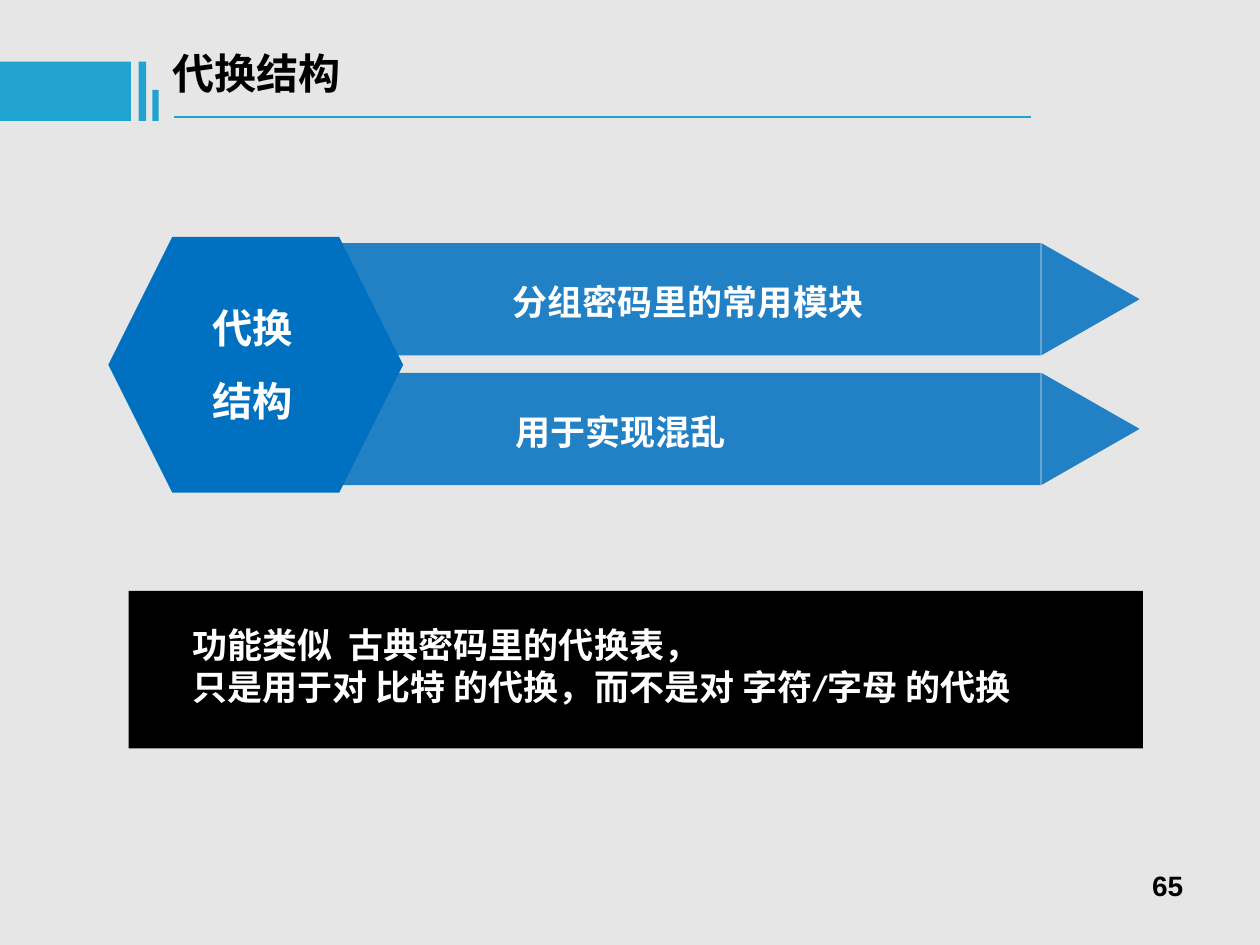
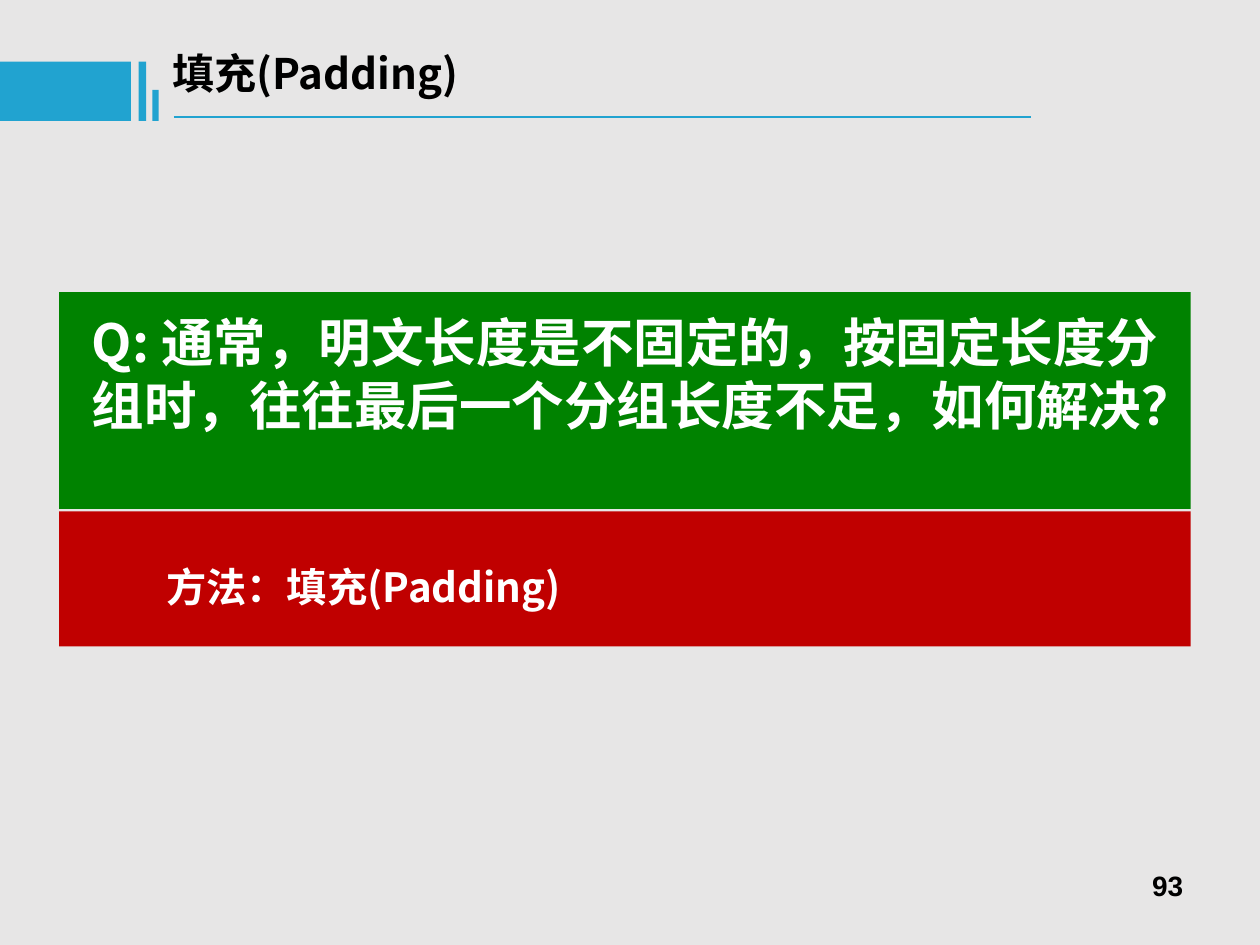
import pptx
import pptx.util
import pptx.dml.color
import pptx.enum.shapes
import pptx.enum.text
import pptx.oxml
import pptx.oxml.ns

MSO = pptx.enum.shapes.MSO_SHAPE
ALIGN = pptx.enum.text.PP_ALIGN
rgb = pptx.dml.color.RGBColor.from_string
NOTO, CYAN, BLUE, WHITE, BLACK = "Noto Sans CJK SC", "21A3D0", "0070C0", "FFFFFF", "000000"

prs = pptx.Presentation()
prs.slide_width = pptx.util.Inches(10)
prs.slide_height = pptx.util.Inches(7.5)
col, row = prs.slide_width / 100, prs.slide_height / 100
bg = prs.slide_master.background.fill
bg.solid()
bg.fore_color.rgb = rgb("E7E6E6")


def block(s, kind, x, y, w, h, color, alpha=100):
    sp = s.shapes.add_shape(kind, int(x * col), int(y * row), int(w * col), int(h * row))
    sp.shadow.inherit = False
    sp.fill.solid()
    sp.fill.fore_color.rgb = rgb(color)
    sp.line.fill.background()
    if alpha < 100:
        clr = sp.fill._xPr.find(".//" + pptx.oxml.ns.qn("a:srgbClr"))
        clr.append(pptx.oxml.parse_xml(
            f'<a:alpha {pptx.oxml.ns.nsdecls("a")} val="{alpha * 1000}"/>'))
    return sp


def write(sp, x, y, w, h, text, size, color=WHITE, font=NOTO, align=ALIGN.LEFT, spacing=1.0):
    sp.left, sp.top, sp.width, sp.height = int(x * col), int(y * row), int(w * col), int(h * row)
    tf = sp.text_frame
    tf.text = text
    tf.word_wrap = True
    tf.auto_size = pptx.enum.text.MSO_AUTO_SIZE.NONE
    tf.vertical_anchor = pptx.enum.text.MSO_ANCHOR.TOP
    for p in tf.paragraphs:
        p.alignment = align
        p.line_spacing = spacing
        for r in p.runs:
            r.font.size = pptx.util.Pt(size)
            r.font.bold = True
            r.font.name = font
            r.font.color.rgb = rgb(color)
            ea = pptx.oxml.parse_xml(
                f'<a:ea {pptx.oxml.ns.nsdecls("a")} typeface="{NOTO}"/>')
            r.font._element.find(pptx.oxml.ns.qn("a:latin")).addnext(ea)
    return tf


slides = []
for title, number in [("代换结构", "65"), ("填充(Padding)", "93")]:
    s = prs.slides.add_slide(prs.slide_layouts[5])
    write(s.shapes.title, 12.7, 4.4, 68.4, 6.67, title, 24, BLACK)
    for x, y, w, h in [(0, 6.53, 10.4, 6.27), (11, 6.53, 0.6, 6.27), (12.1, 9.5, 0.5, 3.3)]:
        block(s, MSO.RECTANGLE, x, y, w, h, CYAN)
    rule = s.shapes.add_connector(
        pptx.enum.shapes.MSO_CONNECTOR.STRAIGHT,
        int(13.8 * col), int(12.4 * row), int(81.8 * col), int(12.4 * row))
    rule.line.color.rgb = rgb(CYAN)
    rule.line.width = pptx.util.Pt(1.5)
    rule._element.spPr.append(pptx.oxml.parse_xml(
        f'<a:effectLst {pptx.oxml.ns.nsdecls("a")}/>'))
    tf = write(s.shapes.add_textbox(0, 0, 0, 0), 71.7, 91.07, 23.3, 6.93,
               number, 16, BLACK, "Arial", ALIGN.RIGHT)
    tf.margin_left = tf.margin_right = pptx.util.Inches(0.11)
    tf.margin_top = tf.margin_bottom = pptx.util.Inches(0.06)
    slides.append(s)

s = slides[0]
hexagon = block(s, MSO.HEXAGON, 8.6, 25.07, 23.4, 27.07, BLUE)
hexagon.adjustments[0] = 0.25
write(s.shapes.add_textbox(0, 0, 0, 0), 15.9, 28.93, 10.3, 16.67,
      "代换\n结构", 23, spacing=1.5)
features = [("分组密码里的常用模块", 39.7, 29.8, NOTO), ("用于实现混乱", 39.9, 18.7, "Calibri")]
for i, (text, x, w, font) in enumerate(features):
    top = 25.73 + 13.73 * i
    tip = block(s, MSO.ISOSCELES_TRIANGLE, 82.1, top + 0.73, 8.9, 10.4, BLUE, 85)
    tip.rotation = 90
    block(s, MSO.RECTANGLE, 26.4, top, 56.2, 11.87, BLUE, 85)
    tf = write(s.shapes.add_textbox(0, 0, 0, 0), x, top + 3.3, w, 5.87,
               text, 20, font=font, align=ALIGN.CENTER)
    tf.word_wrap = False
block(s, MSO.RECTANGLE, 10.2, 62.53, 80.5, 16.67, BLACK)
write(s.shapes.add_textbox(0, 0, 0, 0), 14.3, 65.33, 73, 10.27,
      "功能类似  古典密码里的代换表，\n只是用于对 比特 的代换，而不是对 字符/字母 的代换", 20, font="Calibri")

s = slides[1]
block(s, MSO.RECTANGLE, 4.7, 54.13, 89.8, 14.27, "C00000")
write(s.shapes.add_textbox(0, 0, 0, 0), 12.2, 56.27, 79, 9.07,
      "方法：填充(Padding)", 23, spacing=1.5)
block(s, MSO.RECTANGLE, 4.7, 30.93, 89.8, 22.93, "008200")
write(s.shapes.add_textbox(0, 0, 0, 0), 6.3, 32.13, 87.5, 21.33,
      "Q: 通常，明文长度是不固定的，按固定长度分组时，往往最后一个分组长度不足，如何解决？", 30)

prs.save("out.pptx")
